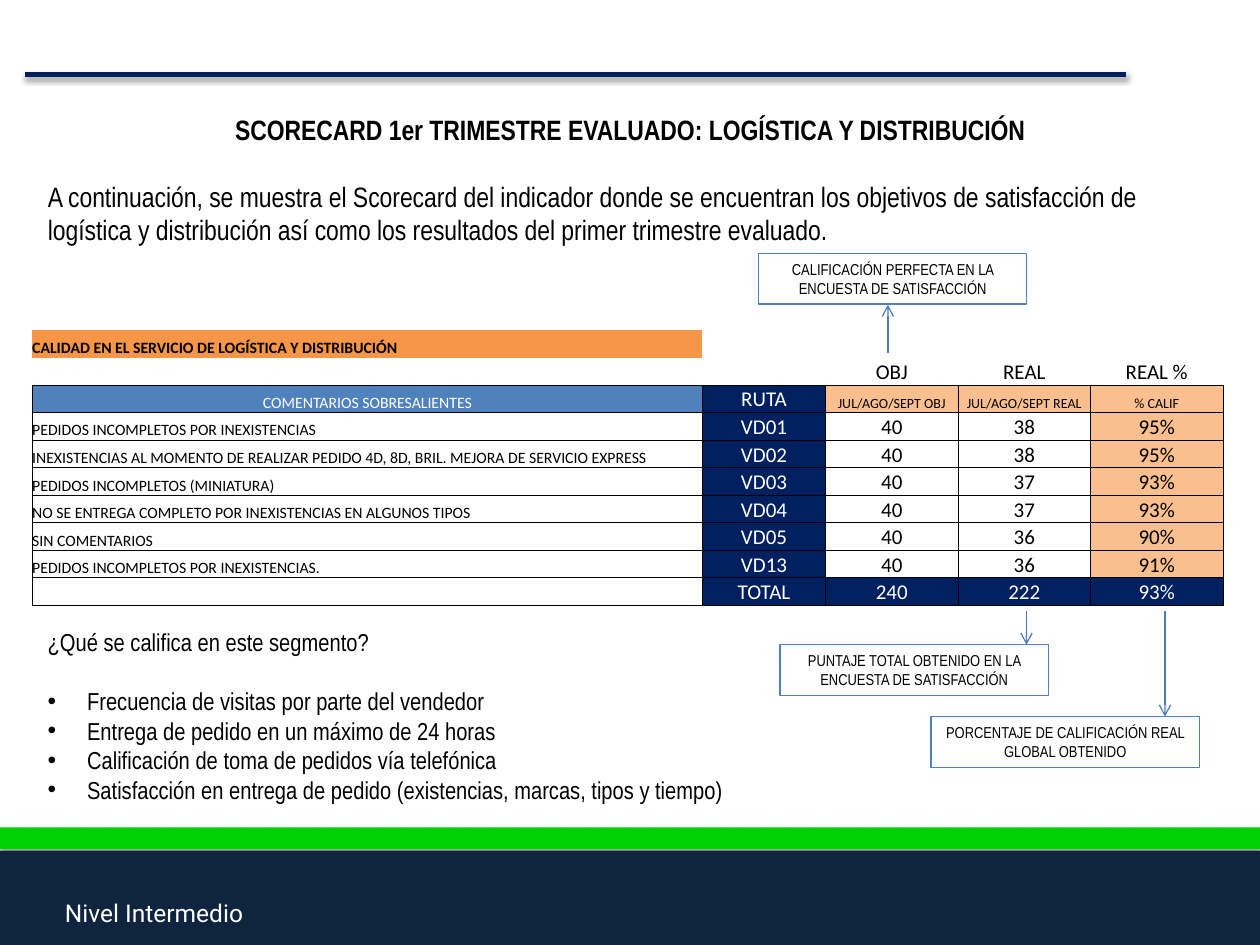
"""Build the logistics and distribution scorecard slide."""
from dataclasses import dataclass

from lxml import etree
from pptx import Presentation
from pptx.dml.color import RGBColor
from pptx.enum.shapes import MSO_CONNECTOR, MSO_SHAPE
from pptx.enum.text import MSO_ANCHOR, MSO_AUTO_SIZE, PP_ALIGN
from pptx.oxml.ns import qn
from pptx.util import Pt

STRAIGHT = MSO_CONNECTOR.STRAIGHT
RECTANGLE = MSO_SHAPE.RECTANGLE
LEFT, CENTER = PP_ALIGN.LEFT, PP_ALIGN.CENTER
TOP, BOTTOM = MSO_ANCHOR.TOP, MSO_ANCHOR.BOTTOM
NO_AUTO_SIZE = MSO_AUTO_SIZE.NONE
TITLE_ONLY = 5
BODY_FONT, TABLE_FONT, FOOTER_FONT = "Arial Narrow", "Calibri", "Roboto"
COLORS = {
    "black": "000000", "white": "FFFFFF", "navy": "002060", "footer": "0F243E",
    "green": "01D004", "orange": "F79646", "peach": "FABF8F",
    "blue": "4F81BD", "arrow": "4B7EBC",
}
COLUMN_WIDTHS = (383, 70.4, 75.7, 75.7, 75.7)
ROW_HEIGHT = 15.75
SIDES = ("L", "R", "T", "B")


@dataclass(frozen=True)
class Bar:
    top: float
    height: float
    color: str


@dataclass(frozen=True)
class Callout:
    left: float
    top: float
    text: str


@dataclass(frozen=True)
class Arrow:
    x: float
    start: float
    end: float


@dataclass(frozen=True)
class CellStyle:
    size: float
    color: str = "black"
    fill: str | None = None
    align: PP_ALIGN = CENTER
    bold: bool = False
    sides: tuple = SIDES


BARS = (Bar(472.8, 12.4, "green"), Bar(486, 54, "footer"))
CALLOUTS = (
    Callout(433.4, 144.7, "CALIFICACIÓN PERFECTA EN LA ENCUESTA DE SATISFACCIÓN"),
    Callout(445.7, 368.4, "PUNTAJE TOTAL OBTENIDO EN LA ENCUESTA DE SATISFACCIÓN"),
    Callout(532, 409.5, "PORCENTAJE DE CALIFICACIÓN REAL GLOBAL OBTENIDO"),
)
ARROWS = (Arrow(507.4, 202, 174.2), Arrow(586.6, 349.2, 368.4), Arrow(665.7, 349.2, 409.5))
INTRO = ("A continuación, se muestra el Scorecard del indicador donde se encuentran "
         "los objetivos de satisfacción de logística y distribución así como los "
         "resultados del primer trimestre evaluado.")
CRITERIA = (
    "Frecuencia de visitas por parte del vendedor",
    "Entrega de pedido en un máximo de 24 horas",
    "Calificación de toma de pedidos vía telefónica",
    "Satisfacción en entrega de pedido (existencias, marcas, tipos y tiempo)",
)
BANNER_ROW = ("CALIDAD EN EL SERVICIO DE LOGÍSTICA Y DISTRIBUCIÓN", "", "", "", "")
GROUP_ROW = ("", "", "OBJ", "REAL", "REAL %")
HEADER_ROW = ("COMENTARIOS SOBRESALIENTES", "RUTA", "JUL/AGO/SEPT OBJ",
              "JUL/AGO/SEPT REAL", "% CALIF")
ROUTE_ROWS = (
    ("PEDIDOS INCOMPLETOS POR INEXISTENCIAS", "VD01", "40", "38", "95%"),
    ("INEXISTENCIAS AL MOMENTO DE REALIZAR PEDIDO 4D, 8D, BRIL. "
     "MEJORA DE SERVICIO EXPRESS", "VD02", "40", "38", "95%"),
    ("PEDIDOS INCOMPLETOS (MINIATURA)", "VD03", "40", "37", "93%"),
    ("NO SE ENTREGA COMPLETO POR INEXISTENCIAS EN ALGUNOS TIPOS", "VD04", "40", "37", "93%"),
    ("SIN COMENTARIOS", "VD05", "40", "36", "90%"),
    ("PEDIDOS INCOMPLETOS POR INEXISTENCIAS.", "VD13", "40", "36", "91%"),
)
TOTAL_ROW = ("", "TOTAL", "240", "222", "93%")

COMMENT = CellStyle(9, align=LEFT)
NAVY = CellStyle(12, "white", "navy")
PLAIN = CellStyle(12)
PERIOD = CellStyle(8, fill="peach")
BANNER = CellStyle(9, fill="orange", align=LEFT, bold=True, sides=())
UNFRAMED = CellStyle(9, sides=())
GROUP = CellStyle(12, sides=("B",))
BANNER_STYLES = (BANNER,) + (UNFRAMED,) * 4
HEADER_STYLES = (CellStyle(9, "white", "blue"), NAVY) + (PERIOD,) * 3
ROUTE_STYLES = (COMMENT, NAVY, PLAIN, PLAIN, CellStyle(12, fill="peach"))
TOTAL_STYLES = (COMMENT,) + (NAVY,) * 4
TABLE_ROWS = (
    (BANNER_ROW, BANNER_STYLES), (GROUP_ROW, (GROUP,) * 5), (HEADER_ROW, HEADER_STYLES),
    *((row, ROUTE_STYLES) for row in ROUTE_ROWS), (TOTAL_ROW, TOTAL_STYLES),
)


def rgb(name: str) -> RGBColor:
    """Return the named colour."""
    return RGBColor.from_string(COLORS[name])


def write_text(paragraph, text: str, *, size: float, font: str = BODY_FONT,
               color: str = "black", bold: bool = False, align=LEFT) -> None:
    """Write one formatted run, or just the size of an empty line."""
    paragraph.alignment = align
    if not text:
        etree.SubElement(paragraph._p, qn("a:endParaRPr"), sz=str(int(size * 100)))
        return
    run = paragraph.add_run()
    run.text = text
    run.font.size, run.font.name, run.font.bold = Pt(size), font, bold
    run.font.color.rgb = rgb(color)


def set_effect(shape, shadow: bool = False) -> None:
    """Give a shape a soft lower shadow or none at all."""
    effects = etree.SubElement(shape._element.spPr, qn("a:effectLst"))
    if shadow:
        outer = etree.SubElement(effects, qn("a:outerShdw"), blurRad=str(Pt(3.1)),
                                 dist=str(Pt(1.8)), dir="5400000", rotWithShape="0")
        color = etree.SubElement(outer, qn("a:srgbClr"), val=COLORS["black"])
        etree.SubElement(color, qn("a:alpha"), val="35000")


def add_text_box(slide, left: float, top: float, width: float, height: float):
    """Add a wrapping text box and return its text frame."""
    box = slide.shapes.add_textbox(Pt(left), Pt(top), Pt(width), Pt(height))
    box.text_frame.word_wrap = True
    return box.text_frame


def add_line(slide, start: tuple, end: tuple, color: str, width: float):
    """Add a straight line."""
    line = slide.shapes.add_connector(STRAIGHT, *(Pt(value) for value in start + end))
    line.line.color.rgb, line.line.width = rgb(color), Pt(width)
    return line


def add_bar(slide, bar: Bar) -> None:
    """Add a full-width footer bar."""
    shape = slide.shapes.add_shape(RECTANGLE, 0, Pt(bar.top), Pt(720), Pt(bar.height))
    shape.fill.solid()
    shape.fill.fore_color.rgb = rgb(bar.color)
    shape.line.fill.background()
    set_effect(shape, shadow=True)


def add_callout(slide, callout: Callout) -> None:
    """Add an outlined explanation box."""
    shape = slide.shapes.add_shape(RECTANGLE, Pt(callout.left), Pt(callout.top),
                                   Pt(153.4), Pt(29))
    shape.shadow.inherit = False
    shape.fill.background()
    shape.line.color.rgb, shape.line.width = rgb("blue"), Pt(0.75)
    shape.text_frame.word_wrap = True
    write_text(shape.text_frame.paragraphs[0], callout.text, size=9, align=CENTER)


def add_arrow(slide, arrow: Arrow) -> None:
    """Add a vertical arrow with an open head."""
    line = add_line(slide, (arrow.x, arrow.start), (arrow.x, arrow.end), "arrow", 0.75)
    etree.SubElement(line.line._get_or_add_ln(), qn("a:tailEnd"), type="arrow")
    set_effect(line)


def format_cell(cell, text: str, style: CellStyle) -> None:
    """Fill, frame and write one table cell."""
    cell.margin_left = cell.margin_right = cell.margin_top = cell.margin_bottom = 0
    cell.vertical_anchor = BOTTOM
    properties = cell._tc.get_or_add_tcPr()
    for side in SIDES:
        border = etree.SubElement(properties, qn(f"a:ln{side}"), w=str(Pt(0.5)))
        if side in style.sides:
            fill = etree.SubElement(border, qn("a:solidFill"))
            etree.SubElement(fill, qn("a:srgbClr"), val=COLORS["black"])
        else:
            etree.SubElement(border, qn("a:noFill"))
    if style.fill:
        cell.fill.solid()
        cell.fill.fore_color.rgb = rgb(style.fill)
    else:
        cell.fill.background()
    write_text(cell.text_frame.paragraphs[0], text, size=style.size, font=TABLE_FONT,
               color=style.color, bold=style.bold, align=style.align)


def add_scorecard(slide) -> None:
    """Add the scorecard table."""
    rows = len(TABLE_ROWS)
    table = slide.shapes.add_table(rows, len(COLUMN_WIDTHS), Pt(18.4), Pt(188.6),
                                   Pt(sum(COLUMN_WIDTHS)), Pt(rows * ROW_HEIGHT)).table
    table.first_row = table.horz_banding = False
    for column, width in zip(table.columns, COLUMN_WIDTHS):
        column.width = Pt(width)
    for row, (texts, styles) in zip(table.rows, TABLE_ROWS):
        row.height = Pt(ROW_HEIGHT)
        for cell, text, style in zip(row.cells, texts, styles):
            format_cell(cell, text, style)


def add_title(slide) -> None:
    """Place and write the slide title."""
    title = slide.shapes.title
    title.left, title.top, title.width, title.height = Pt(20.2), Pt(60.5), Pt(680), Pt(27)
    frame = title.text_frame
    frame.auto_size, frame.vertical_anchor, frame.word_wrap = NO_AUTO_SIZE, TOP, True
    write_text(frame.paragraphs[0], "SCORECARD 1er TRIMESTRE EVALUADO: LOGÍSTICA Y DISTRIBUCIÓN",
               size=16, bold=True, align=CENTER)


def add_criteria(slide) -> None:
    """Add the question and its bulleted criteria."""
    frame = add_text_box(slide, 20.2, 355, 566.6, 108.7)
    write_text(frame.paragraphs[0], "¿Qué se califica en este segmento?", size=14)
    for index, text in enumerate(CRITERIA):
        paragraph = frame.add_paragraph()
        write_text(paragraph, text, size=14)
        paragraph.space_before = Pt(0 if index else 16.8)
        properties = paragraph._p.get_or_add_pPr()
        properties.set("marL", str(Pt(22.5)))
        properties.set("indent", str(Pt(-22.5)))
        etree.SubElement(properties, qn("a:buFont"), typeface="Arial")
        etree.SubElement(properties, qn("a:buChar"), char="•")


def main() -> None:
    """Build and save the presentation."""
    presentation = Presentation()
    presentation.slide_width, presentation.slide_height = Pt(720), Pt(540)
    slide = presentation.slides.add_slide(presentation.slide_layouts[TITLE_ONLY])
    for bar in BARS:
        add_bar(slide, bar)
    write_text(add_text_box(slide, 30, 509.8, 690, 24.5).paragraphs[0], "Nivel Intermedio",
               size=14, font=FOOTER_FONT, color="white")
    set_effect(add_line(slide, (14.4, 42.5), (643.6, 42.5), "navy", 3), shadow=True)
    add_title(slide)
    write_text(add_text_box(slide, 20.2, 98.9, 680, 46).paragraphs[0], INTRO, size=16)
    add_criteria(slide)
    add_scorecard(slide)
    for callout in CALLOUTS:
        add_callout(slide, callout)
    for arrow in ARROWS:
        add_arrow(slide, arrow)
    presentation.save("out.pptx")


if __name__ == "__main__":
    main()
